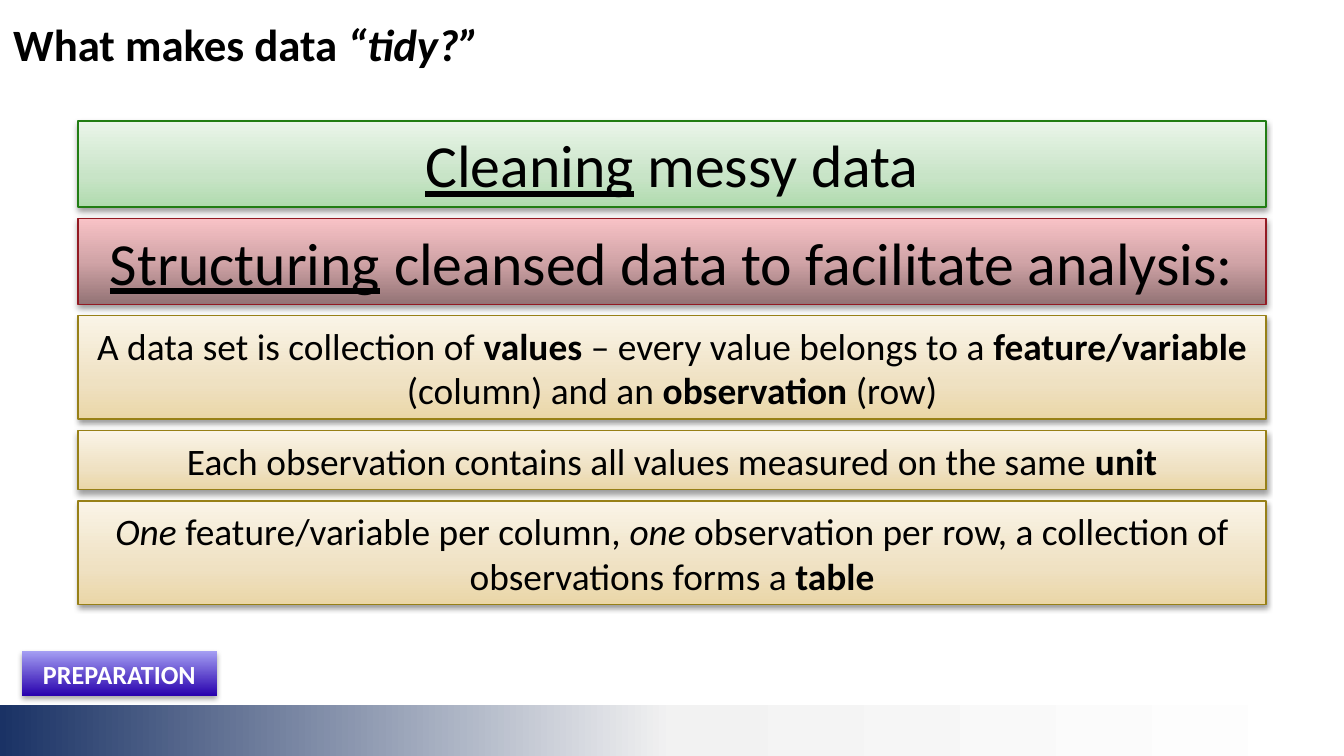
from typing import NamedTuple

from lxml import etree
from pptx import Presentation
from pptx.dml.color import RGBColor
from pptx.enum.shapes import MSO_SHAPE
from pptx.enum.text import MSO_ANCHOR, MSO_AUTO_SIZE, PP_ALIGN
from pptx.oxml.ns import qn
from pptx.util import Pt

RECT = MSO_SHAPE.RECTANGLE
MIDDLE = MSO_ANCHOR.MIDDLE
GROW = MSO_AUTO_SIZE.SHAPE_TO_FIT_TEXT
LEFT, CENTER = PP_ALIGN.LEFT, PP_ALIGN.CENTER

COLORS = {
    "black": "000000", "white": "FFFFFF",
    "navy": "1A3265", "mist": "F2F2F2",
    "green_line": "217D13", "green_deep": "B0DBAE",
    "green_mid": "C8E4C7", "green_pale": "EAF5E9",
    "red_line": "931A23", "red_deep": "937375",
    "red_mid": "D1A4A7", "red_pale": "F8C2C6",
    "gold_line": "978017", "gold_deep": "EAD6A7",
    "gold_mid": "EFE1C2", "gold_pale": "FAF4E7",
    "violet_deep": "2700AD", "violet_pale": "A59FF3",
}


class Run(NamedTuple):
    text: str
    style: str = ""


class Theme(NamedTuple):
    stops: tuple[tuple[int, str], ...]
    line: str | None = None
    angle: int = 90
    shadow: int = 38


class Bar(NamedTuple):
    theme: Theme
    height: float
    size: int
    runs: list[Run]


FOOTER = Theme(((0, "navy"), (50, "mist"), (100, "white")), angle=0, shadow=0)
GREEN = Theme(((0, "green_deep"), (35, "green_mid"), (100, "green_pale")), "green_line")
RED = Theme(((0, "red_deep"), (50, "red_mid"), (100, "red_pale")), "red_line")
GOLD = Theme(((0, "gold_deep"), (35, "gold_mid"), (100, "gold_pale")), "gold_line")
VIOLET = Theme(((0, "violet_deep"), (100, "violet_pale")), shadow=35)

BAR_LEFT, BAR_TOP, BAR_WIDTH, BAR_GAP = 41.8, 64.8, 636.5, 6.1
BARS = [
    Bar(GREEN, 46.1, 32, [Run("Cleaning", "u"), Run(" messy data")]),
    Bar(RED, 46.1, 32, [Run("Structuring", "u"),
                        Run(" cleansed data to facilitate analysis:")]),
    Bar(GOLD, 55.4, 20, [
        Run("A data set is collection of "), Run("values", "b"),
        Run(" – every value belongs to a "), Run("feature/variable", "b"),
        Run(" (column) and an "), Run("observation", "b"), Run(" (row)")]),
    Bar(GOLD, 31.6, 20, [
        Run("Each observation contains all values measured on the same "),
        Run("unit", "b")]),
    Bar(GOLD, 55.4, 20, [
        Run("One", "i"), Run(" feature/variable per column, "), Run("one", "i"),
        Run(" observation per row, a collection of observations forms a "),
        Run("table", "b")]),
]


def rgb(name: str) -> RGBColor:
    """Return the named colour."""
    return RGBColor.from_string(COLORS[name])


def add_color(parent, name: str):
    """Append a named colour element to an XML parent."""
    return etree.SubElement(parent, qn("a:srgbClr"), val=COLORS[name])


def add_panel(shapes, left: float, top: float, width: float, height: float, theme: Theme):
    """Draw a gradient rectangle with its line and shadow."""
    sp = shapes.add_shape(RECT, Pt(left), Pt(top), Pt(width), Pt(height))
    sp.shadow.inherit = False
    sp.fill.gradient()
    sp.fill.gradient_angle = theme.angle
    spPr = sp._element.spPr
    stops = spPr.find(".//" + qn("a:gsLst"))
    stops[:] = []
    for position, name in theme.stops:
        add_color(etree.SubElement(stops, qn("a:gs"), pos=str(position * 1000)), name)
    if theme.line:
        sp.line.color.rgb = rgb(theme.line)
        sp.line.width = Pt(0.75)
    else:
        sp.line.fill.background()
    if theme.shadow:
        shadow = etree.SubElement(
            spPr.find(qn("a:effectLst")), qn("a:outerShdw"), blurRad=str(Pt(3.1)),
            dist=str(Pt(1.6)), dir="5400000", rotWithShape="0")
        etree.SubElement(add_color(shadow, "black"), qn("a:alpha"),
                         val=str(theme.shadow * 1000))
    return sp


def set_text(sp, runs: list[Run], *, size: int, color: str = "black",
             align: PP_ALIGN = CENTER, grow: bool = True) -> None:
    """Fill a shape with one paragraph of formatted runs."""
    tf = sp.text_frame
    tf.word_wrap = True
    tf.vertical_anchor = MIDDLE
    if grow:
        tf.auto_size = GROW
    p = tf.paragraphs[0]
    p.alignment = align
    for run in runs:
        r = p.add_run()
        r.text = run.text
        r.font.name = "Calibri"
        r.font.size = Pt(size)
        r.font.color.rgb = rgb(color)
        r.font.bold = "b" in run.style
        r.font.italic = "i" in run.style
        r.font.underline = "u" in run.style


def main() -> None:
    """Build the tidy data slide."""
    prs = Presentation()
    prs.slide_width, prs.slide_height = Pt(720), Pt(405)
    s = prs.slides.add_slide(prs.slide_layouts[6])
    add_panel(s.shapes, 0, 377.5, 720, 27.5, FOOTER)

    title = s.shapes.add_textbox(Pt(0), Pt(0), Pt(720), Pt(46.8))
    set_text(title, [Run("What makes data ", "b"), Run("“tidy?”", "bi")],
             size=24, align=LEFT, grow=False)

    top = BAR_TOP
    for bar in BARS:
        sp = add_panel(s.shapes, BAR_LEFT, top, BAR_WIDTH, bar.height, bar.theme)
        set_text(sp, bar.runs, size=bar.size)
        top += bar.height + BAR_GAP

    tag = add_panel(s.shapes, 11.8, 348.8, 104.4, 24.2, VIOLET)
    set_text(tag, [Run("PREPARATION", "b")], size=14, color="white")
    prs.save("out.pptx")


if __name__ == "__main__":
    main()
